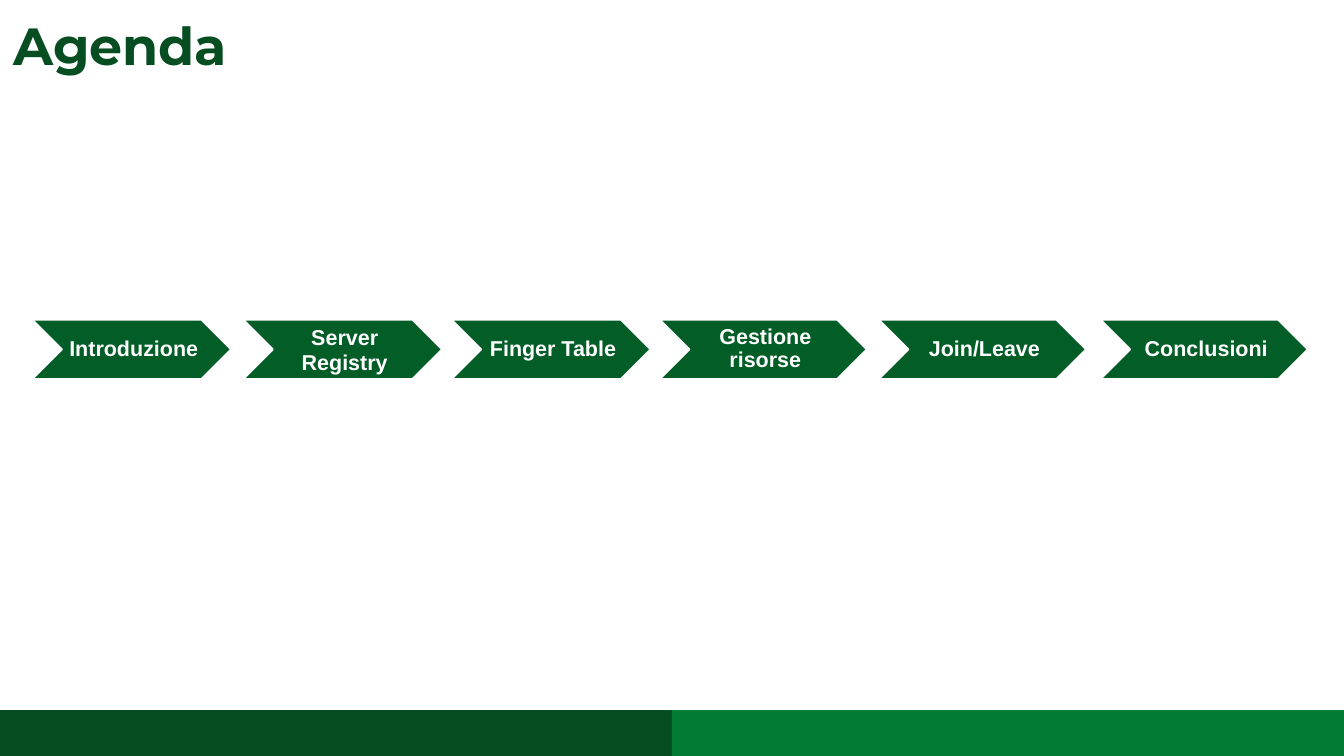
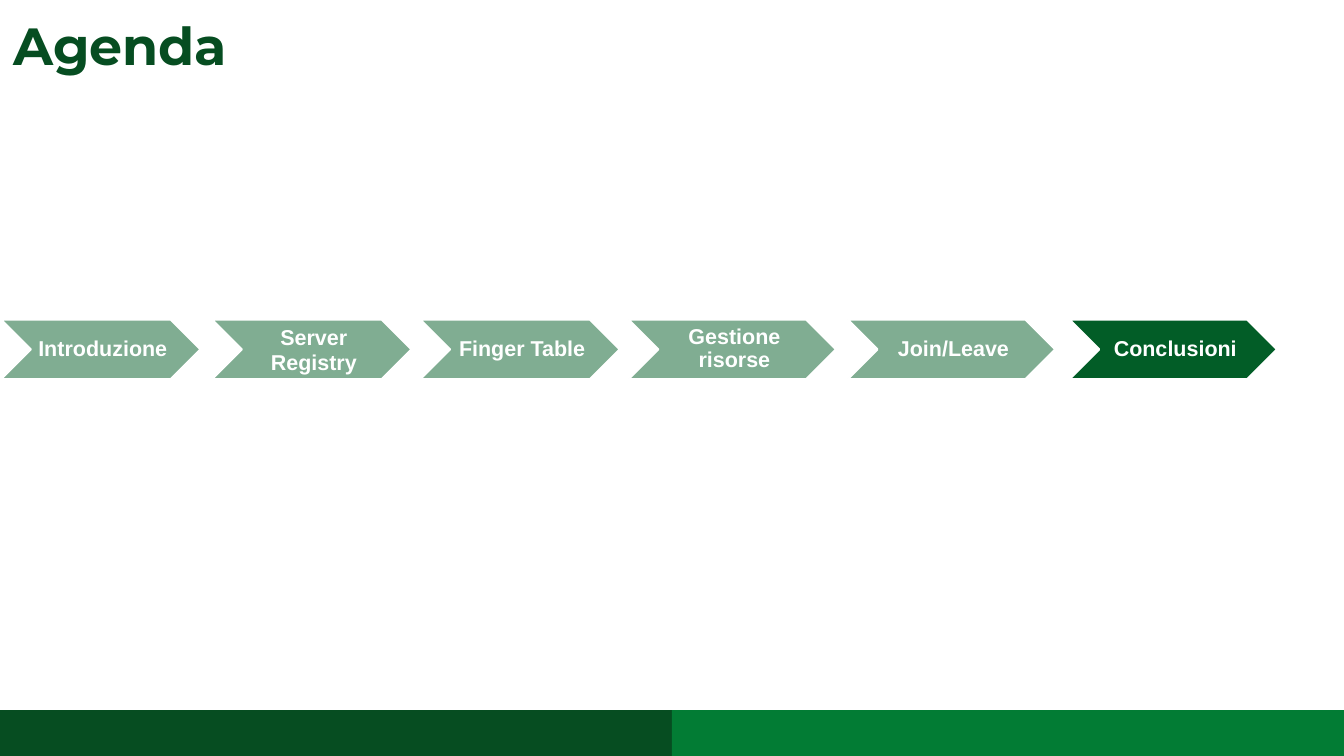
from dataclasses import dataclass

from lxml import etree
from pptx import Presentation
from pptx.dml.color import RGBColor
from pptx.enum import shapes, text
from pptx.oxml import ns
from pptx.util import Inches, Pt


@dataclass(frozen=True)
class Theme:
    dark: str = "064D21"
    light: str = "027C34"
    step: str = "025D27"
    white: str = "FFFFFF"
    head: str = "Montserrat"
    body: str = "Arial"
    big: float = 28
    small: float = 11.5
    faded: int = 50


T = Theme()
WIDE = Inches(10)
HIGH = WIDE * 9 // 16
BAND = Inches(0.34)

# Label, left edge within the row, width, line spacing
STEPS = [
    ("Introduzione", 0, 1.48, 0.9),
    ("Server Registry", 1.57, 1.48, 1.0),
    ("Finger Table", 3.12, 1.48, 0.9),
    ("Gestione risorse", 4.67, 1.54, 0.9),
    ("Join/Leave", 6.3, 1.54, 0.9),
    ("Conclusioni", 7.95, 1.54, 0.9),
]


def paint(shape, color, alpha=100):
    """Fill a shape flat, with its opacity in percent."""
    shape.shadow.inherit = False
    shape.fill.solid()
    shape.fill.fore_color.rgb = RGBColor.from_string(color)
    if alpha < 100:
        clr = shape.fill._xPr.find(".//" + ns.qn("a:srgbClr"))
        etree.SubElement(clr, ns.qn("a:alpha"), val=str(alpha * 1000))


def write(frame, label, font, size, color, align, inset):
    """Put one bold run into a text frame; inset is left, top, right, bottom."""
    frame.word_wrap = True
    frame.auto_size = text.MSO_AUTO_SIZE.NONE
    (frame.margin_left, frame.margin_top,
     frame.margin_right, frame.margin_bottom) = map(Inches, inset)
    para = frame.paragraphs[0]
    para.alignment = align
    run = para.add_run()
    run.text = label
    run.font.name = font
    run.font.size = Pt(size)
    run.font.bold = True
    run.font.color.rgb = RGBColor.from_string(color)
    return para


def footer(slide, left, top, width, height):
    half = width // 2
    for i, color in enumerate((T.dark, T.light)):
        band = slide.shapes.add_shape(
            shapes.MSO_SHAPE.RECTANGLE, left + i * half, top, half, height)
        paint(band, color)
        band.line.fill.background()


def title(slide, label, left, top, width, height):
    head = slide.shapes.title
    head.left, head.top, head.width, head.height = left, top, width, height
    frame = head.text_frame
    frame.vertical_anchor = text.MSO_ANCHOR.TOP
    write(frame, label, T.head, T.big, T.dark, text.PP_ALIGN.LEFT, [0.1] * 4)


def steps(slide, left, top, height, active):
    """Draw the chevron row, fading every step that is not active."""
    for label, x, width, space in STEPS:
        arrow = slide.shapes.add_shape(
            shapes.MSO_SHAPE.CHEVRON, left + Inches(x), top, Inches(width), height)
        paint(arrow, T.step, 100 if label in active else T.faded)
        arrow.line.color.rgb = RGBColor.from_string(T.white)
        arrow.line.width = Pt(1)
        frame = arrow.text_frame
        frame.vertical_anchor = text.MSO_ANCHOR.MIDDLE
        para = write(frame, label, T.body, T.small, T.white,
                     text.PP_ALIGN.CENTER, (0.05, 0.02, 0.02, 0.02))
        para.line_spacing = space


def agenda(deck, left, active):
    slide = deck.slides.add_slide(deck.slide_layouts.get_by_name("Title Only"))
    footer(slide, 0, HIGH - BAND, WIDE, BAND)
    title(slide, "Agenda", 0, 0, WIDE, Inches(0.63))
    steps(slide, Inches(left), Inches(2.38), Inches(0.44), active)


def main():
    deck = Presentation()
    deck.slide_width, deck.slide_height = WIDE, HIGH
    agenda(deck, 0.24, [step[0] for step in STEPS])
    agenda(deck, 0.01, ["Conclusioni"])
    deck.save("out.pptx")


if __name__ == "__main__":
    main()
